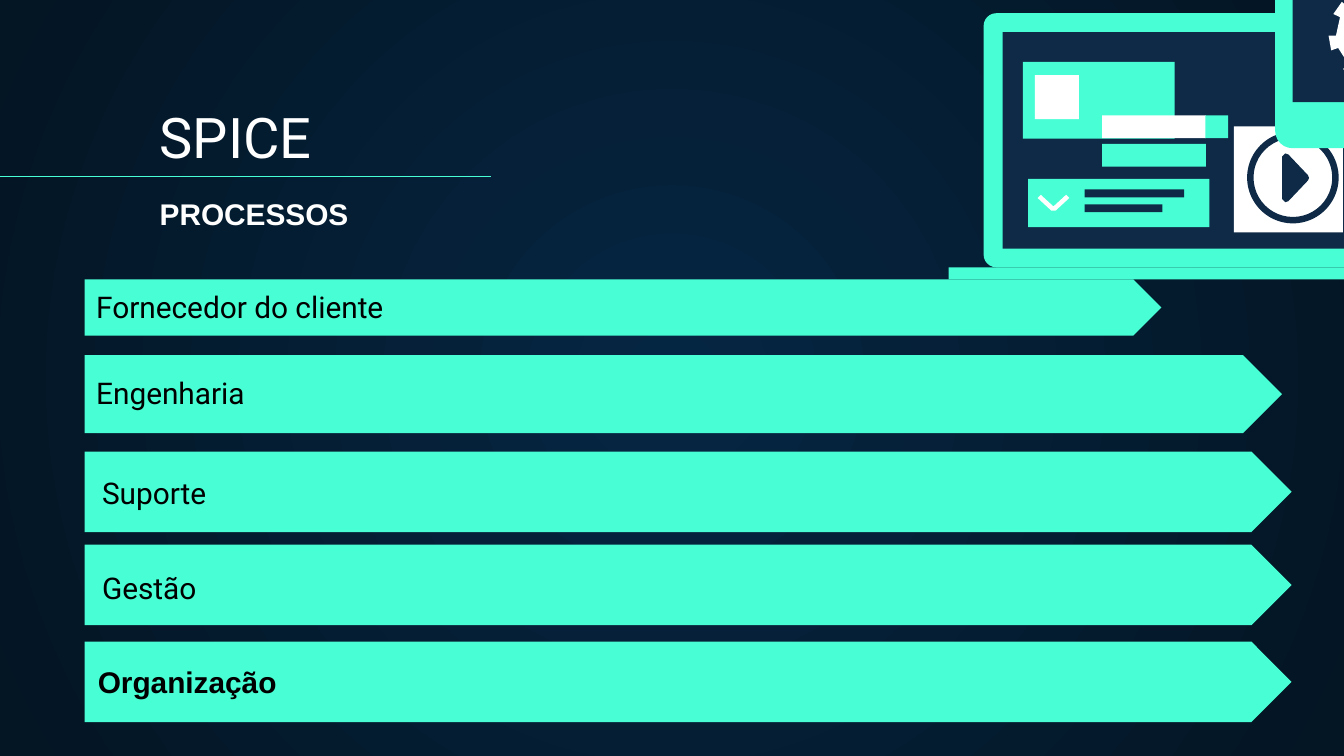
import math

import pptx
import pptx.dml.color
import pptx.enum.shapes
import pptx.enum.text
import pptx.oxml
import pptx.oxml.ns
import pptx.util

Cm = pptx.util.Cm
Pt = pptx.util.Pt
SHAPE = pptx.enum.shapes.MSO_SHAPE
ANCHOR = pptx.enum.text.MSO_ANCHOR

COLORS = {"mint": "48FFD5", "navy": "0E2A47", "white": "FFFFFF",
          "black": "000000", "center": "052643", "edge": "041523"}
ROBOTO = {"name": "Roboto", "size": Pt(16), "bold": False}
ARIAL_BOLD = {"name": "Arial", "size": Pt(16), "bold": True}
INSET = Cm(0.25)

# top, width, height
ARROWS = [(5.28, 20.35, 1.06), (6.71, 22.63, 1.47), (8.53, 22.81, 1.52),
          (10.29, 22.81, 1.52), (12.12, 22.81, 1.52)]
# text, left, top, height
LABELS = [("Fornecedor do cliente", 1.57, 6.07, 0.13),
          ("Engenharia", 1.57, 6.93, 1.07),
          ("Suporte", 1.68, 9.37, 0.53),
          ("Gestão", 1.68, 11.15, 0.53)]
# color, left, top, width, height
SCREEN_BLOCKS = [
    ("navy", 18.95, 0.61, 6.73, 4.09),
    ("mint", 17.93, 5.05, 8.79, 0.23),
    ("mint", 19.33, 1.17, 2.87, 1.45),
    ("white", 19.56, 1.42, 0.83, 0.83),
    ("mint", 19.43, 3.38, 3.43, 0.91),
    ("navy", 20.5, 3.58, 1.88, 0.15),
    ("navy", 20.5, 3.86, 1.47, 0.15),
    ("mint", 20.83, 2.72, 1.96, 0.43),
    ("white", 20.83, 2.18, 1.96, 0.43),
    ("mint", 22.78, 2.18, 0.43, 0.43),
    ("white", 23.32, 2.39, 2.06, 2),
]
CHEVRON = [(19.61, 3.74), (19.67, 3.68), (19.91, 3.9), (20.15, 3.68),
           (20.21, 3.74), (19.95, 3.98), (19.87, 3.98)]
PLAY = [(24.23, 2.96), (24.29, 2.9), (24.35, 2.92), (24.72, 3.31),
        (24.74, 3.36), (24.72, 3.41), (24.35, 3.8), (24.29, 3.82), (24.23, 3.76)]


def rgb(name):
    return pptx.dml.color.RGBColor.from_string(COLORS[name])


def paint(sp, color):
    sp.shadow.inherit = False
    sp.fill.solid()
    sp.fill.fore_color.rgb = rgb(color)
    sp.line.fill.background()


def add_block(s, kind, color, left, top, width, height, adj=None):
    sp = s.shapes.add_shape(kind, Cm(left), Cm(top), Cm(width), Cm(height))
    paint(sp, color)
    if adj is not None:
        sp.adjustments[0] = adj
    return sp


def add_polygon(s, color, points):
    points = [(Cm(x), Cm(y)) for x, y in points]
    builder = s.shapes.build_freeform(*points[0])
    builder.add_line_segments(points[1:], close=True)
    paint(builder.convert_to_shape(), color)


def write(sp, text, color, font, anchor=ANCHOR.BOTTOM, inset_y=INSET):
    tf = sp.text_frame
    layout = {"word_wrap": True, "auto_size": pptx.enum.text.MSO_AUTO_SIZE.NONE,
              "vertical_anchor": anchor, "margin_left": INSET,
              "margin_right": INSET, "margin_top": inset_y, "margin_bottom": inset_y}
    for key, value in layout.items():
        setattr(tf, key, value)
    p = tf.paragraphs[0]
    p.alignment = pptx.enum.text.PP_ALIGN.LEFT
    r = p.add_run()
    r.text = text
    for key, value in font.items():
        setattr(r.font, key, value)
    r.font.color.rgb = rgb(color)


def add_label(s, text, left, top, width, height, color, font, **layout):
    sp = s.shapes.add_textbox(Cm(left), Cm(top), Cm(width), Cm(height))
    write(sp, text, color, font, **layout)


def set_background(s):
    """Radial gradient from the middle of the slide."""
    fill = s.background.fill
    fill.gradient()
    for stop, color, position in zip(fill.gradient_stops, ("center", "edge"), (0, 1)):
        stop.color.rgb = rgb(color)
        stop.position = position
    grad = s.element.xpath(".//p:bg//a:gradFill")[0]
    for lin in grad.findall(pptx.oxml.ns.qn("a:lin")):
        grad.remove(lin)
    path = pptx.oxml.parse_xml(
        f'<a:path {pptx.oxml.ns.nsdecls("a")} path="circle">'
        '<a:fillToRect l="50000" t="50000" r="50000" b="50000"/></a:path>')
    grad.findall(pptx.oxml.ns.qn("a:gsLst"))[0].addnext(path)


def add_title(s):
    sp = s.shapes.title
    box = {"left": 2.77, "top": 1.78, "width": 21.77, "height": 1.68}
    for key, value in box.items():
        setattr(sp, key, Cm(value))
    write(sp, "SPICE", "white", {**ROBOTO, "size": Pt(30)})


def add_rule(s):
    line = s.shapes.add_connector(pptx.enum.shapes.MSO_CONNECTOR.STRAIGHT,
                                  Cm(0), Cm(3.33), Cm(9.27), Cm(3.33))
    line.line.color.rgb = rgb("mint")
    line.line.width = Pt(0.75)
    line.element.spPr.append(
        pptx.oxml.parse_xml(f'<a:effectLst {pptx.oxml.ns.nsdecls("a")}/>'))


def gear_points(cx, cy, root, tip, teeth=8, tilt=-10, half_width=9):
    points = []
    for i in range(teeth):
        middle = tilt + i * 360 / teeth
        for radius, turn in ((root, -half_width), (tip, -half_width),
                             (tip, half_width), (root, half_width)):
            angle = math.radians(middle + turn)
            points.append((cx + radius * math.cos(angle), cy + radius * math.sin(angle)))
    return points


def add_illustration(s):
    add_block(s, SHAPE.ROUNDED_RECTANGLE, "mint", 18.59, 0.25, 7.44, 4.8, 0.05)
    for block in SCREEN_BLOCKS:
        add_block(s, SHAPE.RECTANGLE, *block)
    add_polygon(s, "white", CHEVRON)
    add_block(s, SHAPE.DONUT, "navy", 23.57, 2.49, 1.73, 1.73, 0.07)
    add_polygon(s, "navy", PLAY)
    add_block(s, SHAPE.ROUNDED_RECTANGLE, "mint", 24.1, -2.64, 4.09, 5.44, 0.08)
    add_block(s, SHAPE.RECTANGLE, "navy", 24.43, -2.24, 3.43, 4.17)
    add_polygon(s, "white", gear_points(26.01, 0.66, 0.76, 0.9))


def main():
    prs = pptx.Presentation()
    prs.slide_width, prs.slide_height = Cm(25.4), Cm(14.28)
    s = prs.slides.add_slide(prs.slide_layouts[5])
    set_background(s)
    add_title(s)
    add_rule(s)
    add_label(s, "PROCESSOS", 2.77, 3.56, 4.62, 0.94, "white", ARIAL_BOLD,
              anchor=ANCHOR.TOP, inset_y=Cm(0.13))
    arrows = [add_block(s, SHAPE.PENTAGON, "mint", 1.6, *arrow, 0.5) for arrow in ARROWS]
    for text, left, top, height in LABELS:
        add_label(s, text, left, top, 19.56, height, "black", ROBOTO)
    write(arrows[-1], "Organização", "black", ARIAL_BOLD, anchor=ANCHOR.MIDDLE)
    add_illustration(s)
    prs.save("out.pptx")


if __name__ == "__main__":
    main()
